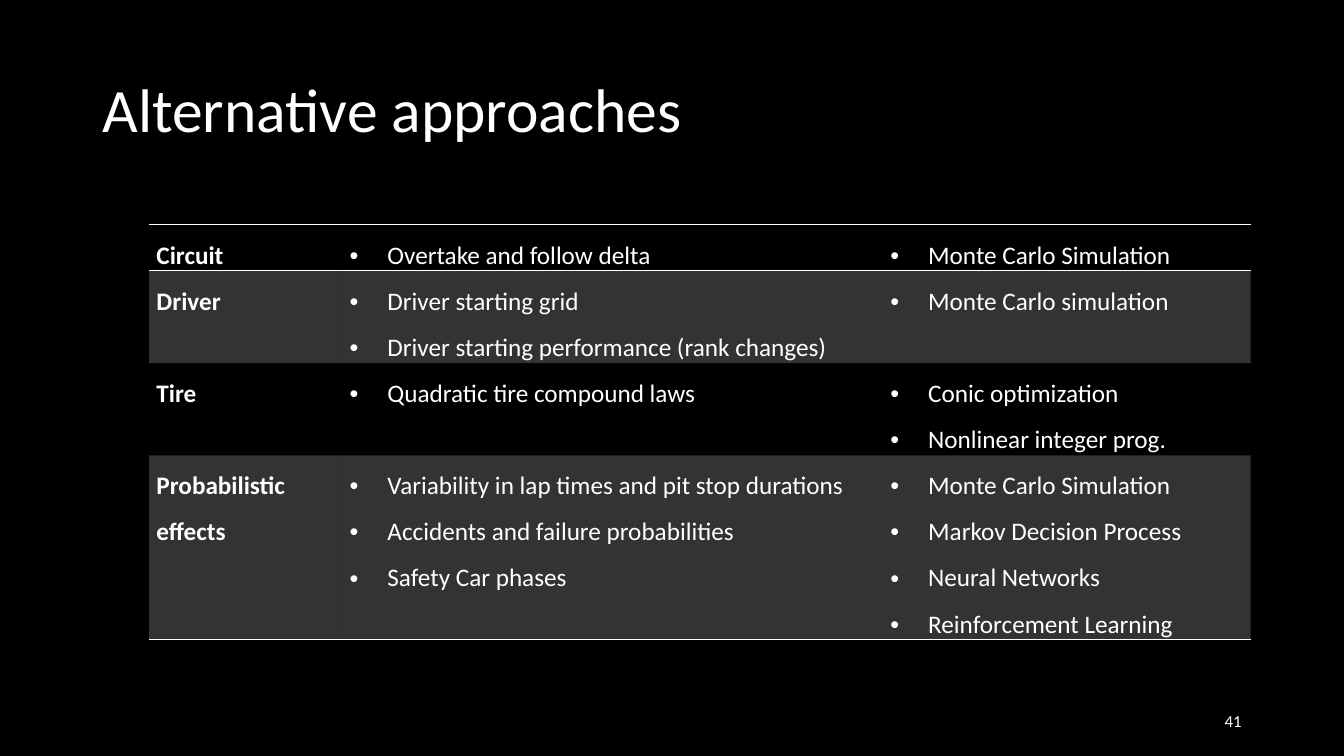
"""Build the slide that lists alternative approaches in a table."""
from dataclasses import dataclass

from lxml.etree import SubElement
from pptx import Presentation
from pptx.dml.color import RGBColor as Color
from pptx.enum.text import MSO_ANCHOR as Anchor
from pptx.enum.text import MSO_AUTO_SIZE as AutoSize
from pptx.enum.text import PP_ALIGN as Align
from pptx.oxml.ns import qn
from pptx.util import Emu, Pt


@dataclass(frozen=True)
class Theme:
    font: str = "Calibri"
    background: str = "000000"
    ink: str = "FFFFFF"
    band_opacity: int = 20
    title_size: int = 44
    table_size: int = 18
    number_size: int = 12
    border_width: int = 1


@dataclass(frozen=True)
class Box:
    left: int
    top: int
    width: int
    height: int


@dataclass(frozen=True)
class Topic:
    name: str
    factors: tuple[str, ...]
    methods: tuple[str, ...]
    banded: bool = False
    borders: tuple[str, ...] = ()


THEME = Theme()
EMU_PER_PX = 9525
NO_GRID_STYLE = "{2D5ABB26-0587-4C30-8999-92F81FD0307C}"
TITLE_BOX = Box(88, 38, 1104, 139)
NUMBER_BOX = Box(904, 667, 288, 38)
TABLE_LEFT, TABLE_TOP = 142, 214
COLUMN_WIDTHS = (184, 515, 350)
LINE_HEIGHT = 41
CELL_INSET = 7
BULLET_INDENT = 36

TOPICS = (
    Topic("Circuit", ("Overtake and follow delta",), ("Monte Carlo Simulation",),
          borders=("a:lnT", "a:lnB")),
    Topic("Driver",
          ("Driver starting grid", "Driver starting performance (rank changes)"),
          ("Monte Carlo simulation",), banded=True),
    Topic("Tire", ("Quadratic tire compound laws",),
          ("Conic optimization", "Nonlinear integer prog.")),
    Topic("Probabilistic effects",
          ("Variability in lap times and pit stop durations",
           "Accidents and failure probabilities", "Safety Car phases"),
          ("Monte Carlo Simulation", "Markov Decision Process",
           "Neural Networks", "Reinforcement Learning"),
          banded=True, borders=("a:lnB",)),
)


def px(length: int) -> Emu:
    """Turn pixels into EMU."""
    return Emu(length * EMU_PER_PX)


def place(shape, box: Box) -> None:
    """Move a shape to its box."""
    shape.left, shape.top = px(box.left), px(box.top)
    shape.width, shape.height = px(box.width), px(box.height)


def add_bullet(para) -> None:
    """Give a paragraph a hanging round bullet."""
    props = para._p.get_or_add_pPr()
    props.set("marL", str(px(BULLET_INDENT)))
    props.set("indent", str(-px(BULLET_INDENT)))
    SubElement(props, qn("a:buFont"), typeface="Arial")
    SubElement(props, qn("a:buChar"), char="•")


def write(frame, *lines: str, size: int, bold: bool = False, bullets: bool = False,
          spacing: float = 1.0, align: Align = Align.LEFT) -> None:
    """Write one paragraph per line into a text frame."""
    for index, line in enumerate(lines):
        para = frame.add_paragraph() if index else frame.paragraphs[0]
        if bullets:
            add_bullet(para)
        para.alignment = align
        para.line_spacing = spacing
        span = para.add_run()
        span.text = line
        span.font.name = THEME.font
        span.font.size = Pt(size)
        span.font.bold = bold
        span.font.color.rgb = Color.from_string(THEME.ink)


def add_border(cell, side: str) -> None:
    """Draw one side of a table cell."""
    line = SubElement(cell._tc.get_or_add_tcPr(), qn(side),
                      w=str(Pt(THEME.border_width)))
    fill = SubElement(line, qn("a:solidFill"))
    SubElement(fill, qn("a:srgbClr"), val=THEME.ink)


def fill_cell(cell, banded: bool) -> None:
    """Fill a cell with the translucent band or leave it clear."""
    if not banded:
        cell.fill.background()
        return
    cell.fill.solid()
    cell.fill.fore_color.rgb = Color.from_string(THEME.ink)
    tint = cell._tc.tcPr.find(qn("a:solidFill")).find(qn("a:srgbClr"))
    SubElement(tint, qn("a:alpha"), val=str(THEME.band_opacity * 1000))


def add_topic_table(page) -> None:
    """Add the table of topics, factors and methods."""
    heights = [LINE_HEIGHT * max(len(topic.factors), len(topic.methods))
               for topic in TOPICS]
    table = page.shapes.add_table(
        len(TOPICS), len(COLUMN_WIDTHS), px(TABLE_LEFT), px(TABLE_TOP),
        px(sum(COLUMN_WIDTHS)), px(sum(heights))).table
    table.first_row = table.horz_banding = False
    table._tbl.tblPr.find(qn("a:tableStyleId")).text = NO_GRID_STYLE
    for column, width in zip(table.columns, COLUMN_WIDTHS):
        column.width = px(width)
    for row, height, topic in zip(table.rows, heights, TOPICS):
        row.height = px(height)
        contents = ((topic.name,), topic.factors, topic.methods)
        for index, (cell, lines) in enumerate(zip(row.cells, contents)):
            cell.margin_left = cell.margin_right = px(CELL_INSET)
            cell.margin_top = cell.margin_bottom = 0
            write(cell.text_frame, *lines, size=THEME.table_size,
                  bold=index == 0, bullets=index > 0, spacing=1.5)
            for side in topic.borders:
                add_border(cell, side)
            fill_cell(cell, topic.banded)


def main() -> None:
    """Build and save the deck."""
    deck = Presentation()
    deck.slide_width, deck.slide_height = px(1280), px(720)
    page = deck.slides.add_slide(deck.slide_layouts[5])
    page.background.fill.solid()
    page.background.fill.fore_color.rgb = Color.from_string(THEME.background)

    title = page.shapes.title
    number = page.shapes.add_textbox(0, 0, 0, 0)
    for shape, box in ((title, TITLE_BOX), (number, NUMBER_BOX)):
        place(shape, box)
        shape.text_frame.word_wrap = True
        shape.text_frame.auto_size = AutoSize.NONE
        shape.text_frame.vertical_anchor = Anchor.MIDDLE
    write(title.text_frame, "Alternative approaches", size=THEME.title_size, spacing=0.9)
    write(number.text_frame, "41", size=THEME.number_size, align=Align.RIGHT)
    add_topic_table(page)
    deck.save("out.pptx")


if __name__ == "__main__":
    main()
